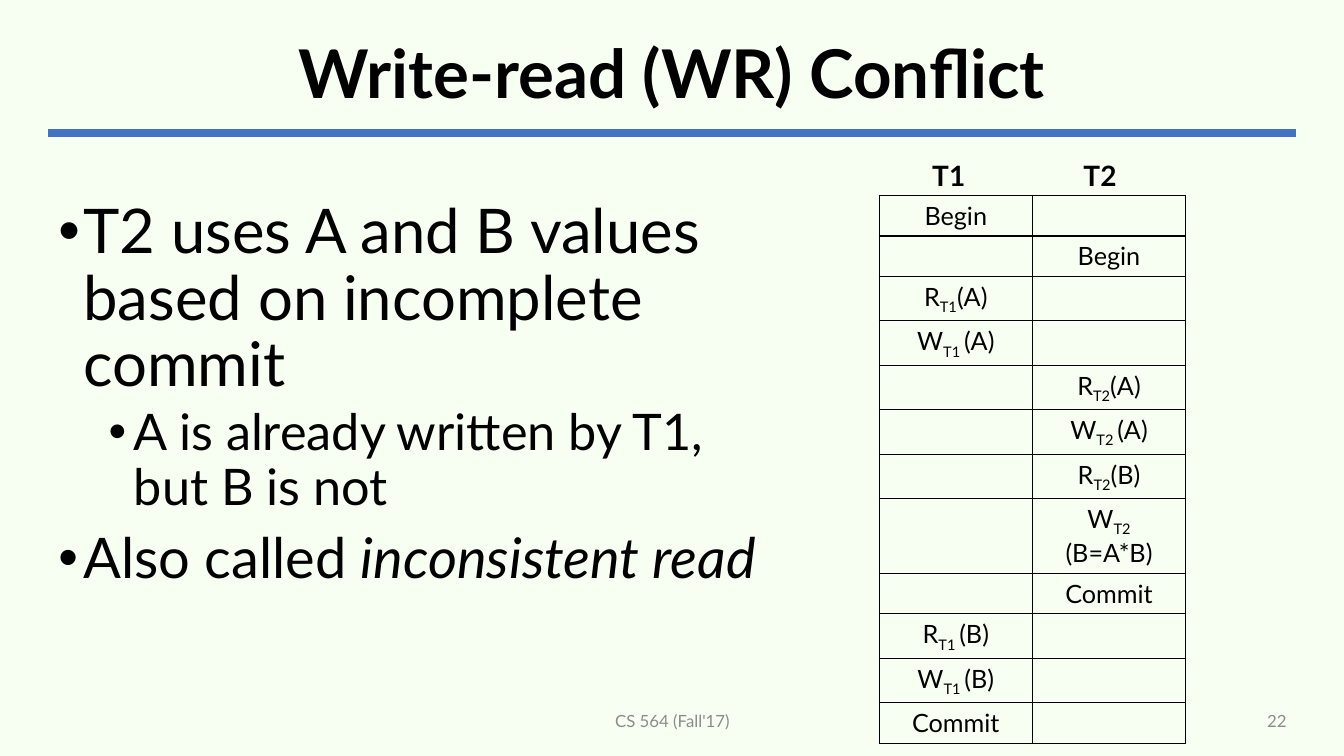
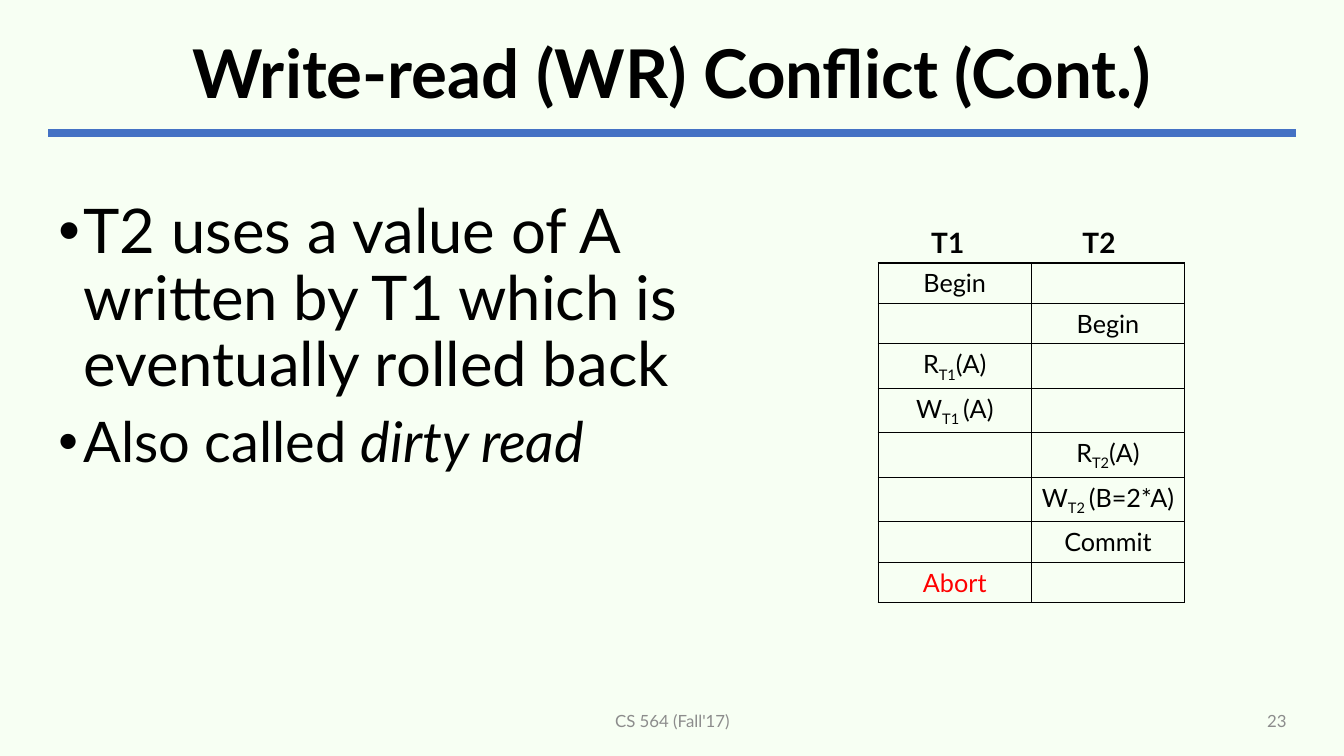
from dataclasses import dataclass
from typing import NamedTuple

from lxml import etree
from pptx import Presentation
from pptx.dml.color import RGBColor
from pptx.enum.shapes import MSO_CONNECTOR
from pptx.enum.text import MSO_ANCHOR, PP_ALIGN
from pptx.oxml.ns import qn
from pptx.util import Inches, Pt

LEFT, CENTER, RIGHT = PP_ALIGN.LEFT, PP_ALIGN.CENTER, PP_ALIGN.RIGHT
TOP, MIDDLE = MSO_ANCHOR.TOP, MSO_ANCHOR.MIDDLE
STRAIGHT = MSO_CONNECTOR.STRAIGHT

FONT = "Lato"
COLORS = {
    "background": "F7FFF3",
    "rule": "4472C4",
    "text": "000000",
    "footer": "8C8C8C",
    "abort": "FF0000",
}
FOOTER = "CS 564 (Fall'17)"
MARGIN, CONTENT_WIDTH = 0.48, 12.37
COLUMN_WIDTH, ROW_HEIGHT = 1.52, 0.4
LABEL_WIDTH, LABEL_HEIGHT, LABEL_INSET, LABEL_STEP = 0.88, 0.67, 0.25, 1.5
TRANSACTIONS = ("T1", "T2")


class TextRun(NamedTuple):
    text: str
    size: float
    color: str = "text"
    bold: bool = False
    italic: bool = False
    subscript: bool = False


class Bullet(NamedTuple):
    runs: list[TextRun]
    level: int = 0


class Step(NamedTuple):
    """One table row: the acting transaction's column and its operation."""
    column: int
    action: str
    subscript: str = ""
    argument: str = ""
    color: str = "text"


@dataclass
class ConflictSlide:
    title: str
    number: int
    bullets: list[Bullet]
    table_left: float
    table_top: float
    schedule: list[Step]


OPENING = [
    Step(0, "Begin"),
    Step(1, "Begin"),
    Step(0, "R", "T1", "(A)"),
    Step(0, "W", "T1 ", "(A)"),
    Step(1, "R", "T2", "(A)"),
]

SLIDES = [
    ConflictSlide(
        "Write-read (WR) Conflict", 22,
        [
            Bullet([TextRun("T2 uses A and B values based on incomplete commit", 44)]),
            Bullet([TextRun("A is already written by T1, but B is not", 36)], level=1),
            Bullet([TextRun("Also called ", 40),
                    TextRun("inconsistent read", 40, italic=True)]),
        ],
        8.72, 1.94,
        OPENING + [
            Step(1, "W", "T2 ", "(A)"),
            Step(1, "R", "T2", "(B)"),
            Step(1, "W", "T2 ", "(B=A*B)"),
            Step(1, "Commit"),
            Step(0, "R", "T1 ", "(B)"),
            Step(0, "W", "T1 ", "(B)"),
            Step(0, "Commit"),
        ],
    ),
    ConflictSlide(
        "Write-read (WR) Conflict (Cont.)", 23,
        [
            Bullet([TextRun("T2 uses a value of A written by T1 which is "
                            "eventually rolled back", 44)]),
            Bullet([TextRun("Also called ", 40),
                    TextRun("dirty read", 40, italic=True)]),
        ],
        8.71, 2.61,
        OPENING + [
            Step(1, "W", "T2 ", "(B=2*A)"),
            Step(1, "Commit"),
            Step(0, "Abort", color="abort"),
        ],
    ),
]


def rgb(name: str) -> RGBColor:
    return RGBColor.from_string(COLORS[name])


def add_runs(paragraph, runs: list[TextRun]) -> None:
    for text_run in runs:
        run = paragraph.add_run()
        run.text = text_run.text
        formats = {"name": FONT, "size": Pt(text_run.size),
                   "bold": text_run.bold, "italic": text_run.italic}
        for attribute, value in formats.items():
            setattr(run.font, attribute, value)
        run.font.color.rgb = rgb(text_run.color)
        if text_run.subscript:
            run.font._element.set("baseline", "-25000")


def add_frame(slide, left: float, top: float, width: float, height: float,
              anchor=TOP):
    """Add a wrapping text box and return its text frame."""
    box = slide.shapes.add_textbox(Inches(left), Inches(top),
                                   Inches(width), Inches(height))
    frame = box.text_frame
    frame.word_wrap = True
    frame.vertical_anchor = anchor
    return frame


def add_label(slide, bounds: tuple[float, float, float, float], run: TextRun,
              alignment=CENTER, anchor=MIDDLE, line_spacing=1.0) -> None:
    paragraph = add_frame(slide, *bounds, anchor=anchor).paragraphs[0]
    paragraph.alignment = alignment
    paragraph.line_spacing = line_spacing
    add_runs(paragraph, [run])


def add_rule(slide) -> None:
    rule = slide.shapes.add_connector(
        STRAIGHT, Inches(MARGIN), Inches(1.32),
        Inches(MARGIN + CONTENT_WIDTH), Inches(1.32))
    rule.line.color.rgb = rgb("rule")
    rule.line.width = Pt(6)
    etree.SubElement(rule._element.spPr, qn("a:effectLst"))


def add_bullets(slide, bullets: list[Bullet]) -> None:
    frame = add_frame(slide, MARGIN, 1.94, 7.43, 4.59)
    for index, bullet in enumerate(bullets):
        paragraph = frame.add_paragraph() if index else frame.paragraphs[0]
        properties = paragraph._p.get_or_add_pPr()
        properties.set("marL", str(Inches(0.25 + 0.5 * bullet.level)))
        properties.set("indent", str(Inches(-0.25)))
        etree.SubElement(properties, qn("a:buFont"), typeface="Arial")
        etree.SubElement(properties, qn("a:buChar"), char="•")
        paragraph.level = bullet.level
        paragraph.alignment = LEFT
        paragraph.line_spacing = 0.9
        if index:
            paragraph.space_before = Pt(5 if bullet.level else 10)
        add_runs(paragraph, bullet.runs)


def style_cell(cell) -> None:
    """Give a cell thin borders on all sides and no fill."""
    properties = cell._tc.get_or_add_tcPr()
    for side in ("lnL", "lnR", "lnT", "lnB"):
        line = etree.SubElement(properties, qn(f"a:{side}"), w=str(Pt(1)))
        fill = etree.SubElement(line, qn("a:solidFill"))
        etree.SubElement(fill, qn("a:srgbClr"), val=COLORS["text"])
    cell.fill.background()


def step_runs(step: Step) -> list[TextRun]:
    runs = [TextRun(step.action, 18, step.color)]
    if step.subscript:
        runs += [TextRun(step.subscript, 18, step.color, subscript=True),
                 TextRun(step.argument, 18, step.color)]
    return runs


def add_schedule(slide, left: float, top: float, steps: list[Step]) -> None:
    """Add the table of steps with a transaction label over each column."""
    column_count = len(TRANSACTIONS)
    table = slide.shapes.add_table(
        len(steps), column_count, Inches(left), Inches(top),
        Inches(COLUMN_WIDTH * column_count),
        Inches(ROW_HEIGHT * len(steps))).table
    table.first_row = table.horz_banding = False
    for cell in table.iter_cells():
        style_cell(cell)
    for row, step in enumerate(steps):
        paragraph = table.cell(row, step.column).text_frame.paragraphs[0]
        paragraph.alignment = CENTER
        add_runs(paragraph, step_runs(step))
    for column, transaction in enumerate(TRANSACTIONS):
        bounds = (left + LABEL_INSET + LABEL_STEP * column, top - LABEL_HEIGHT,
                  LABEL_WIDTH, LABEL_HEIGHT)
        add_label(slide, bounds, TextRun(transaction, 20, bold=True),
                  anchor=TOP, line_spacing=Pt(42))


def add_conflict_slide(presentation, content: ConflictSlide) -> None:
    slide = presentation.slides.add_slide(presentation.slide_layouts[6])
    add_rule(slide)
    add_bullets(slide, content.bullets)
    add_label(slide, (MARGIN, 0.24, CONTENT_WIDTH, 1.04),
              TextRun(content.title, 48, bold=True), line_spacing=0.9)
    add_label(slide, (4.42, 6.95, 4.5, 0.4), TextRun(FOOTER, 12, "footer"))
    add_label(slide, (9.42, 6.95, 3.44, 0.4),
              TextRun(str(content.number), 12, "footer"), alignment=RIGHT)
    add_schedule(slide, content.table_left, content.table_top, content.schedule)


def main() -> None:
    presentation = Presentation()
    presentation.slide_width = Inches(13.33)
    presentation.slide_height = Inches(7.5)
    background = presentation.slide_master.background.fill
    background.solid()
    background.fore_color.rgb = rgb("background")
    for content in SLIDES:
        add_conflict_slide(presentation, content)
    presentation.save("out.pptx")


if __name__ == "__main__":
    main()
